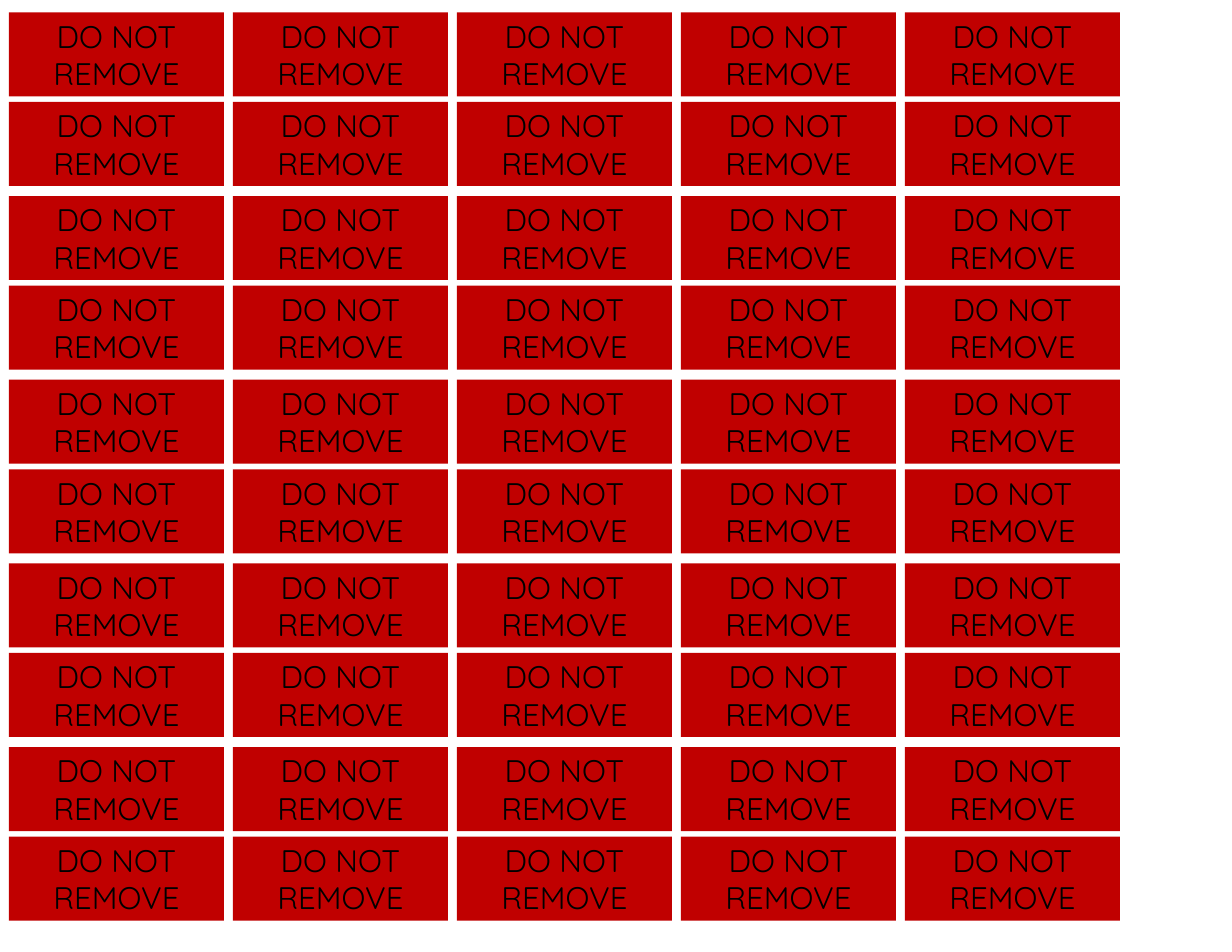
from itertools import product

from pptx import Presentation
from pptx.dml.color import RGBColor
from pptx.enum.shapes import MSO_SHAPE
from pptx.enum.text import MSO_ANCHOR, PP_ALIGN
from pptx.util import Inches, Pt

WARNING = "DO NOT REMOVE"
COLUMNS, PAIRS, ROWS_PER_PAIR = 5, 5, 2

THEME = {
    "label": RGBColor(0xC0, 0x00, 0x00),
    "text": RGBColor(0x00, 0x00, 0x00),
    "font": "Quicksand",
    "size": Pt(20),
}

# Label sheet geometry in inches; rows sit in pairs with a wider gap between pairs
LEFT, TOP = 0.08, 0.11
LABEL_WIDTH, LABEL_HEIGHT = 1.92, 0.75
COLUMN_PITCH, PAIR_PITCH, ROW_PITCH = 2, 1.64, 0.8


def add_label(slide, left, top):
    label = slide.shapes.add_shape(
        MSO_SHAPE.RECTANGLE, Inches(left), Inches(top),
        Inches(LABEL_WIDTH), Inches(LABEL_HEIGHT))
    label.shadow.inherit = False
    label.fill.solid()
    label.fill.fore_color.rgb = THEME["label"]
    label.line.fill.background()

    frame = label.text_frame
    frame.text = WARNING
    frame.word_wrap = True
    frame.vertical_anchor = MSO_ANCHOR.MIDDLE
    paragraph = frame.paragraphs[0]
    paragraph.alignment = PP_ALIGN.CENTER
    font = paragraph.runs[0].font
    font.name = THEME["font"]
    font.size = THEME["size"]
    font.color.rgb = THEME["text"]


def main():
    presentation = Presentation()
    presentation.slide_width = Inches(11)
    presentation.slide_height = Inches(8.5)
    slide = presentation.slides.add_slide(presentation.slide_layouts[6])

    for pair, row, column in product(range(PAIRS), range(ROWS_PER_PAIR), range(COLUMNS)):
        add_label(slide, LEFT + column * COLUMN_PITCH,
                  TOP + pair * PAIR_PITCH + row * ROW_PITCH)

    presentation.save("out.pptx")


if __name__ == "__main__":
    main()
